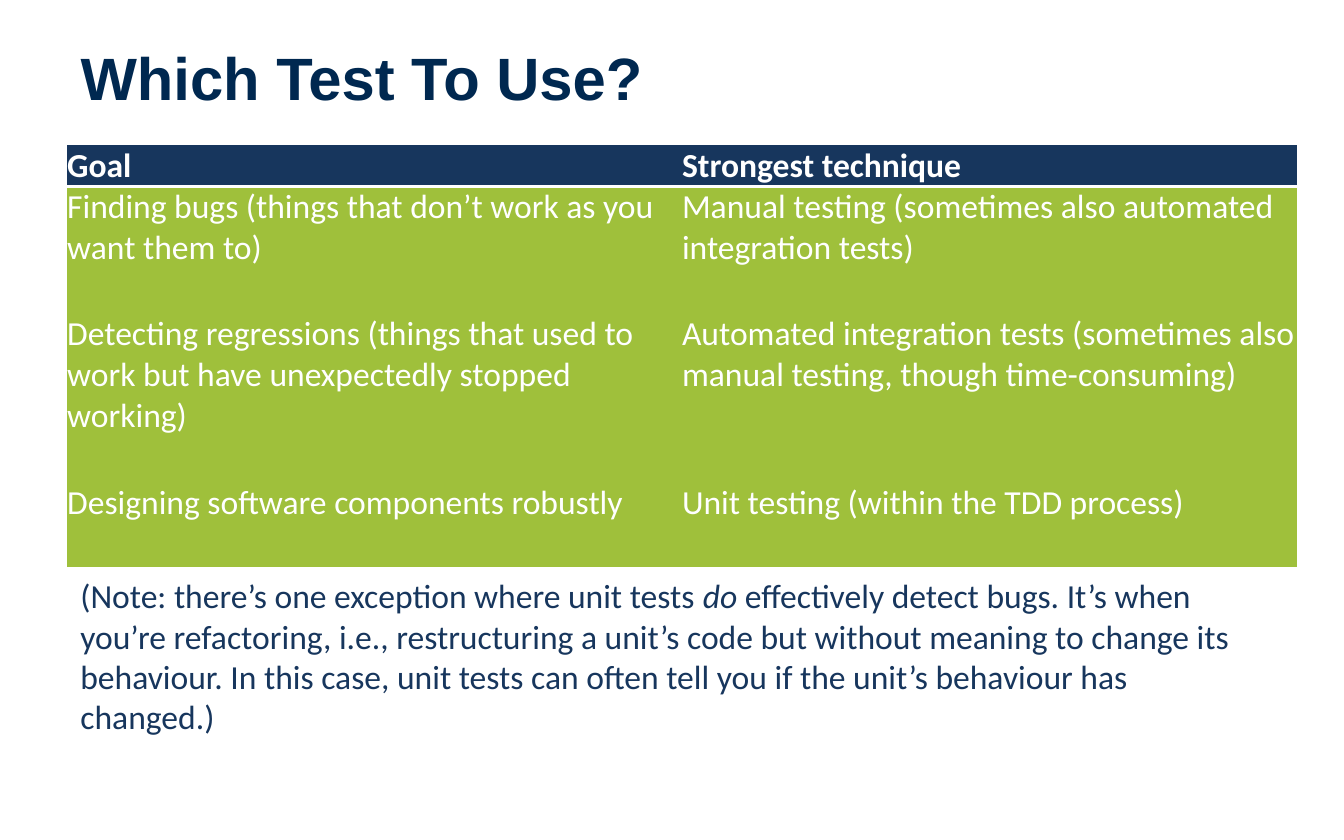
from lxml.etree import SubElement
from pptx import Presentation
from pptx.dml.color import RGBColor
from pptx.enum.text import MSO_ANCHOR, PP_ALIGN
from pptx.oxml import parse_xml
from pptx.oxml.ns import nsdecls, qn
from pptx.util import Inches, Pt

TITLE_NAVY = RGBColor(0x00, 0x28, 0x50)
NAVY = RGBColor(0x17, 0x36, 0x5D)
GREEN = RGBColor(0x9F, 0xC0, 0x3B)
WHITE = RGBColor(0xFF, 0xFF, 0xFF)
NO_GRID_STYLE = "{2D5ABB26-0587-4C30-8999-92F81FD0307C}"

TITLE_FONT = {"name": "Arial", "size": Pt(32), "bold": True}
BODY_FONT = {"name": "Calibri", "size": Pt(18), "bold": False}
HEADER_FONT = {**BODY_FONT, "bold": True}
NO_MARGINS = dict.fromkeys(
    ("margin_left", "margin_top", "margin_right", "margin_bottom"), 0)

ROWS = [
    ("Goal", "Strongest technique"),
    ("Finding bugs (things that don’t work as you want them to)",
     "Manual testing (sometimes also automated integration tests)"),
    ("Detecting regressions (things that used to work but have unexpectedly "
     "stopped working)",
     "Automated integration tests (sometimes also manual testing, though "
     "time-consuming)"),
    ("Designing software components robustly",
     "Unit testing (within the TDD process)"),
]
ROW_HEIGHTS = [0.31, 0.94, 1.26, 0.63]
NOTE = [
    ("(Note: there’s one exception where unit tests ", False),
    ("do", True),
    (" effectively detect bugs. It’s when you’re refactoring, i.e., "
     "restructuring a unit’s code but without meaning to change its "
     "behaviour. In this case, unit tests can often tell you if the unit’s "
     "behaviour has changed.)", False),
]


def set_all(obj, values):
    for name, value in values.items():
        setattr(obj, name, value)


def add_run(p, text, font, color):
    r = p.add_run()
    r.text = text
    set_all(r.font, font)
    r.font.color.rgb = color
    return r


def add_title(s, box, text):
    title = s.shapes.title
    set_all(title, dict(zip(("left", "top", "width", "height"), box)))
    tf = title.text_frame
    tf.vertical_anchor = MSO_ANCHOR.MIDDLE
    p = tf.paragraphs[0]
    p.alignment = PP_ALIGN.LEFT
    add_run(p, text, TITLE_FONT, TITLE_NAVY)


def add_bottom_border(cell, color, width):
    line = parse_xml(
        f'<a:lnB {nsdecls("a")} w="{width}"><a:solidFill>'
        f'<a:srgbClr val="{color}"/></a:solidFill></a:lnB>')
    cell._tc.get_or_add_tcPr().insert(0, line)


def add_goal_table(s, box, rows, heights):
    table = s.shapes.add_table(len(rows), len(rows[0]), *box).table
    table.horz_banding = False
    props = table._tbl.tblPr
    style = props.find(qn("a:tableStyleId"))
    if style is None:
        style = SubElement(props, qn("a:tableStyleId"))
    style.text = NO_GRID_STYLE

    for column in table.columns:
        column.width = box[2] // len(rows[0])
    for i, (texts, height) in enumerate(zip(rows, heights)):
        is_header = i == 0
        table.rows[i].height = Inches(height)
        for cell, text in zip(table.rows[i].cells, texts):
            set_all(cell, NO_MARGINS)
            cell.fill.solid()
            cell.fill.fore_color.rgb = NAVY if is_header else GREEN
            add_run(cell.text_frame.paragraphs[0], text,
                    HEADER_FONT if is_header else BODY_FONT, WHITE)
            if is_header:
                add_bottom_border(cell, WHITE, Pt(2))


def add_note(s, box, parts):
    tf = s.shapes.add_textbox(*box).text_frame
    tf.word_wrap = True
    for text, italic in parts:
        r = add_run(tf.paragraphs[0], text, BODY_FONT, NAVY)
        r.font.italic = italic


def main():
    prs = Presentation()
    prs.slide_width, prs.slide_height = Inches(10), Inches(6.25)
    s = prs.slides.add_slide(prs.slide_layouts[5])
    left, width = Inches(0.5), Inches(9)
    add_title(s, (left, Inches(0.25), width, Inches(0.64)),
              "Which Test To Use?")
    add_goal_table(s, (left, Inches(1.08), Inches(9.15), Inches(3.15)),
                   ROWS, ROW_HEIGHTS)
    add_note(s, (left, Inches(4.23), width, Inches(1.31)), NOTE)
    prs.save("out.pptx")


if __name__ == "__main__":
    main()
